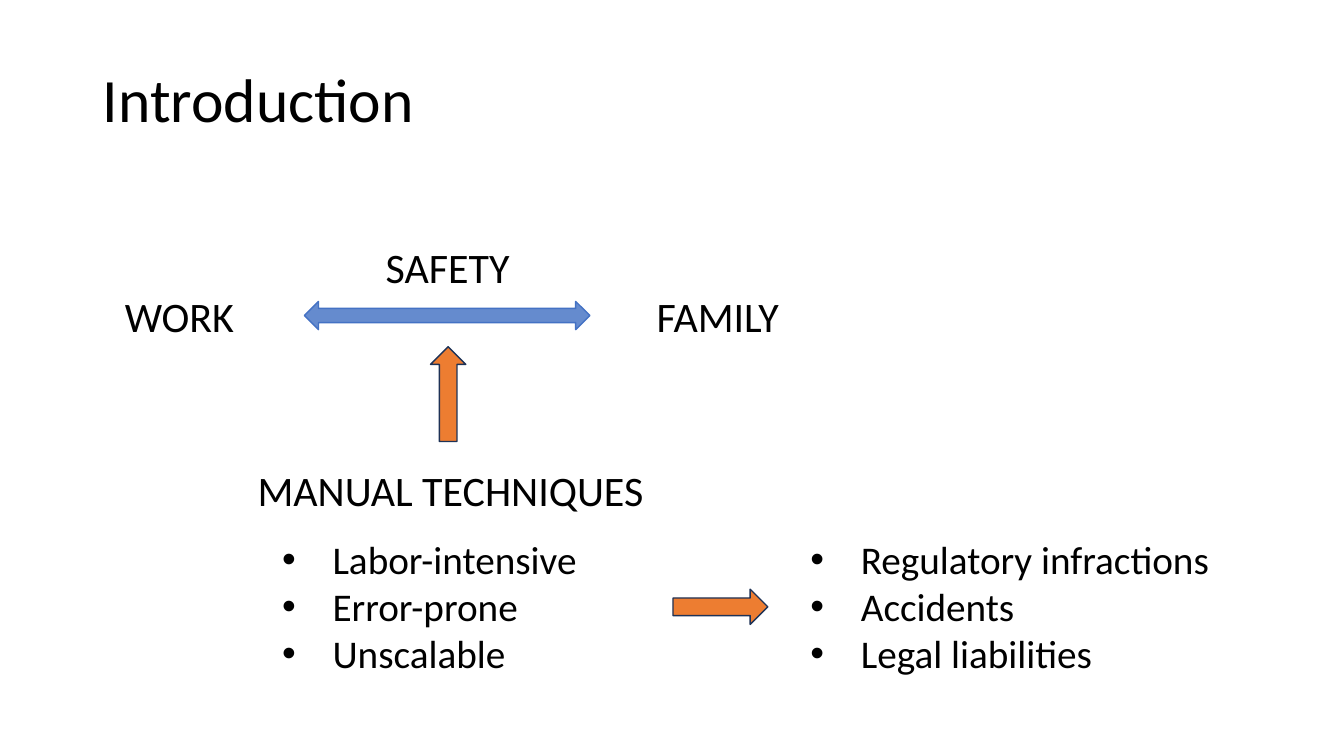
"""Build the Introduction slide on safety and manual techniques."""
from lxml import etree
from pptx import Presentation
from pptx.dml.color import RGBColor
from pptx.enum import shapes, text
from pptx.oxml import ns
from pptx.util import Inches, Pt

TITLE = "Introduction"
LABELS = [
    ("WORK", (0.81, 2.83, 1.94, 0.61)),
    ("FAMILY", (6.15, 2.83, 1.94, 0.61)),
    ("SAFETY", (3.47, 2.35, 1.94, 0.61)),
    ("MANUAL TECHNIQUES", (1.62, 4.56, 5.7, 0.61)),
]
LISTS = [
    (["Labor-intensive", "Error-prone", "Unscalable"], (2.7, 5.26, 4.09, 1.51)),
    (["Regulatory infractions", "Accidents", "Legal liabilities"], (7.94, 5.26, 4.98, 1.51)),
]
ARROWS = [
    ("LEFT_RIGHT_ARROW", (3.02, 2.99, 2.83, 0.28), 0, "blue", "blue", 82),
    ("UP_ARROW", (4.27, 3.44, 0.35, 0.94), 0, "orange", "navy", 100),
    ("UP_ARROW", (6.97, 5.55, 0.35, 0.94), 90, "orange", "navy", 100),
]
COLORS = {"text": "000000", "blue": "4472C4", "orange": "ED7D31", "navy": "1E3256"}
FONT = "Calibri"


def color(name):
    return RGBColor.from_string(COLORS[name])


def style(paragraph, size, align):
    paragraph.alignment = align
    paragraph.font.name = FONT
    paragraph.font.size = Pt(size)
    paragraph.font.color.rgb = color("text")


def add_bullet(paragraph):
    properties = paragraph._p.get_or_add_pPr()
    properties.set("marL", str(Inches(0.5)))
    properties.set("indent", str(-Inches(0.5)))
    etree.SubElement(properties, ns.qn("a:buFont"), typeface="Arial")
    etree.SubElement(properties, ns.qn("a:buChar"), char="•")


def add_text(slide, lines, box, size, align, bulleted=False):
    frame = slide.shapes.add_textbox(*map(Inches, box)).text_frame
    frame.word_wrap = True
    frame.auto_size = text.MSO_AUTO_SIZE.SHAPE_TO_FIT_TEXT
    frame.text = "\n".join(lines)
    for paragraph in frame.paragraphs:
        if bulleted:
            add_bullet(paragraph)
        style(paragraph, size, align)


def add_arrow(slide, kind, box, rotation, fill, line, opacity):
    arrow = slide.shapes.add_shape(shapes.MSO_SHAPE[kind], *map(Inches, box))
    arrow.rotation = rotation
    arrow.shadow.inherit = False
    arrow.fill.solid()
    arrow.fill.fore_color.rgb = color(fill)
    arrow.line.color.rgb = color(line)
    arrow.line.width = Pt(1)
    if opacity < 100:
        fill_color = arrow._element.spPr.find(ns.qn("a:solidFill"))[0]
        etree.SubElement(fill_color, ns.qn("a:alpha"), val=str(opacity * 1000))


def main():
    deck = Presentation()
    deck.slide_width, deck.slide_height = Inches(13.33), Inches(7.5)
    slide = deck.slides.add_slide(deck.slide_layouts[5])

    title = slide.shapes.title
    title.left, title.top, title.width, title.height = map(Inches, (0.92, 0.4, 11.5, 1.23))
    title.text_frame.text = TITLE
    title.text_frame.vertical_anchor = text.MSO_ANCHOR.MIDDLE
    heading = title.text_frame.paragraphs[0]
    heading.line_spacing = 0.9
    style(heading, 44, text.PP_ALIGN.LEFT)

    for label, box in LABELS:
        add_text(slide, [label], box, 30, text.PP_ALIGN.CENTER)
    for items, box in LISTS:
        add_text(slide, items, box, 28, text.PP_ALIGN.LEFT, bulleted=True)
    for arrow in ARROWS:
        add_arrow(slide, *arrow)

    deck.save("out.pptx")


if __name__ == "__main__":
    main()
